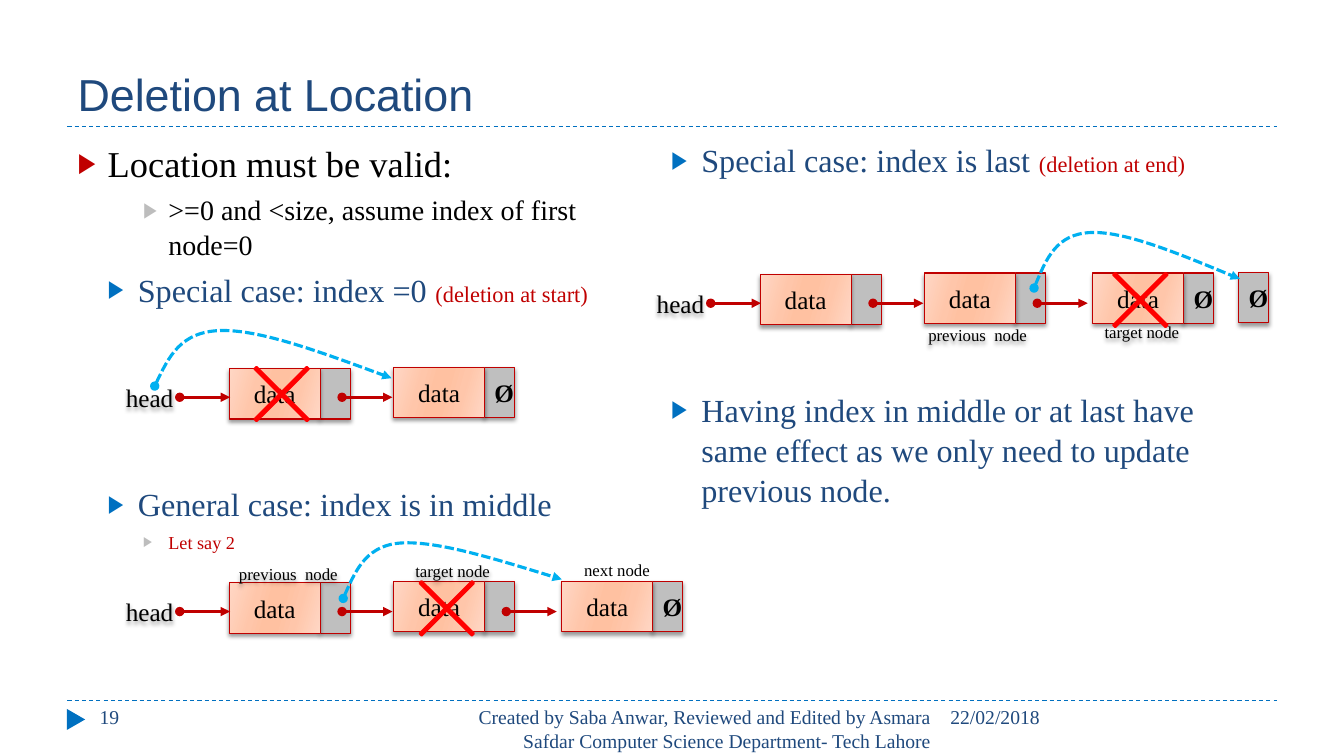
import pptx
import pptx.util
import pptx.dml.color
import pptx.enum.dml
import pptx.enum.shapes
import pptx.enum.text
import pptx.oxml
import pptx.oxml.ns
from dataclasses import dataclass

Cm, Pt = pptx.util.Cm, pptx.util.Pt
SHAPE = pptx.enum.shapes.MSO_SHAPE
DASH = pptx.enum.dml.MSO_LINE
ALIGN = pptx.enum.text.PP_ALIGN
ANCHOR = pptx.enum.text.MSO_ANCHOR
QN = pptx.oxml.ns.qn
NS = pptx.oxml.ns.nsdecls("a")


@dataclass(frozen=True)
class Theme:
    heading_font: str = "Arial"
    body_font: str = "Times New Roman"
    navy: str = "1F497D"
    blue: str = "0070C0"
    sky: str = "00B0F0"
    crimson: str = "C00000"
    red: str = "FF0000"
    grey: str = "BFBFBF"
    pale_grey: str = "BDBDBD"
    black: str = "000000"
    peach: tuple = ((0, "FFD7C5"), (30, "FFC6AA"), (45, "FFC1A1"),
                    (55, "FFC1A1"), (73, "FFC6AA"), (100, "FFD7C5"))
    title: int = 32
    lead: int = 26
    case: int = 23
    detail: int = 20
    cell: int = 18
    aside: int = 16
    footer: int = 14
    remark: int = 13
    label: int = 12


THEME = Theme()

# Bullet styles: text indent, hanging indent (cm), space before (pt), bullet colour
LEAD = (0.76, 0.76, 6, THEME.crimson)
CASE = (1.52, 0.76, 5, THEME.blue)
DETAIL = (2.29, 0.64, 5, THEME.pale_grey)
LEVELS = {LEAD: 0, CASE: 1, DETAIL: 2}

# Linked list measures in cm, from the head label's left and the arrows' height
NODE_LEFTS = (2.9, 7.04, 11.28)
DATA_WIDTH, LINK_WIDTH, NODE_HEIGHT = 2.29, 0.76, 1.27
ARROW_LENGTH = 1.27


def rgb(color):
    return pptx.dml.color.RGBColor.from_string(color)


def add_xml(parent, xml):
    tag, _, rest = xml.partition(" ")
    parent.append(pptx.oxml.parse_xml(f"<a:{tag} {NS} {rest}"))


def style_span(span, size, color, font=THEME.body_font, bold=False):
    span.font.size, span.font.name, span.font.bold = Pt(size), font, bold
    span.font.color.rgb = rgb(color)


def style_line(line, color, width, dash=None, arrow=False):
    line.color.rgb, line.width = rgb(color), Pt(width)
    if dash:
        line.dash_style = dash
    if arrow:
        add_xml(line._ln, 'headEnd type="oval"/>')
        add_xml(line._ln, 'tailEnd type="triangle"/>')


def drop_shadow(shape):
    shape.shadow.inherit = False
    effects = shape._element.spPr.find(QN("a:effectLst"))
    add_xml(effects, 'outerShdw blurRad="38100" dist="25400" dir="5400000" rotWithShape="0">'
            f'<a:srgbClr val="{THEME.black}"><a:alpha val="40000"/></a:srgbClr></a:outerShdw>')


def write(shape, text, size, color, align=ALIGN.CENTER, anchor=ANCHOR.MIDDLE, bold=False):
    frame = shape.text_frame
    frame.word_wrap, frame.vertical_anchor = True, anchor
    frame.text = text
    para = frame.paragraphs[0]
    para.alignment = align
    style_span(para.runs[0], size, color, bold=bold)


def add_text(page, box, text, size, color, **layout):
    shape = page.shapes.add_textbox(*map(Cm, box))
    write(shape, text, size, color, **layout)
    return shape


def add_line(page, start, end, color, width, dash=None, arrow=False):
    line = page.shapes.add_connector(
        pptx.enum.shapes.MSO_CONNECTOR.STRAIGHT, *map(Cm, start + end))
    style_line(line.line, color, width, dash, arrow)
    add_xml(line._element.spPr, "effectLst />")


# Title and footer
def fill_title(title, box, text):
    title.left, title.top, title.width, title.height = map(Cm, box)
    title.text_frame.text = text
    title.text_frame.vertical_anchor = ANCHOR.BOTTOM
    title.text_frame.auto_size = pptx.enum.text.MSO_AUTO_SIZE.NONE
    para = title.text_frame.paragraphs[0]
    para.alignment = ALIGN.LEFT
    style_span(para.runs[0], THEME.title, THEME.navy, THEME.heading_font)


def add_footer(page, box, number, credit, date):
    left, top, width, height = box
    add_line(page, (left, top), (left + width, top), THEME.blue, 0.75, DASH.DASH)
    marker = page.shapes.add_shape(
        SHAPE.ISOSCELES_TRIANGLE, Cm(left - 0.05), Cm(top + 0.25), Cm(0.53), Cm(0.46))
    marker.rotation = 90
    marker.shadow.inherit = False
    marker.fill.solid()
    marker.fill.fore_color.rgb = rgb(THEME.blue)
    marker.line.fill.background()
    for offset, span_width, text, align in ((0.56, 7.34, number, ALIGN.LEFT),
                                            (9.04, 12.98, credit, ALIGN.RIGHT),
                                            (22, 8.48, date, ALIGN.LEFT)):
        add_text(page, (left + offset, top, span_width, height), text,
                 THEME.footer, THEME.navy, align=align, anchor=ANCHOR.TOP)


# Bulleted column: each item is a style, extra space above, and its spans
def fill_column(body, box, items):
    body.left, body.top, body.width, body.height = map(Cm, box)
    frame = body.text_frame
    frame.auto_size = pptx.enum.text.MSO_AUTO_SIZE.NONE
    for index, (style, gap, spans) in enumerate(items):
        para = frame.add_paragraph() if index else frame.paragraphs[0]
        indent, hanging, before, bullet = style
        para.level = LEVELS[style]
        para.line_spacing, para.space_before = 1.04, Pt(before + gap)
        props = para._p.get_or_add_pPr()
        props.set("marL", str(Cm(indent)))
        props.set("indent", str(-Cm(hanging)))
        add_xml(props, f'buClr ><a:srgbClr val="{bullet}"/></a:buClr>')
        add_xml(props, 'buSzPct val="76000"/>')
        add_xml(props, 'buChar char="▶"/>')
        for text, size, color in spans:
            span = para.add_run()
            span.text = text
            style_span(span, size, color)


# Linked list parts
def add_cell(page, left, top, width, text="", data=False):
    cell = page.shapes.add_shape(SHAPE.RECTANGLE, *map(Cm, (left, top, width, NODE_HEIGHT)))
    cell.fill.solid()
    cell.fill.fore_color.rgb = rgb(THEME.grey)
    if data:
        stops = "".join(f'<a:gs pos="{pos * 1000}"><a:srgbClr val="{color}"/></a:gs>'
                        for pos, color in THEME.peach)
        props = cell._element.spPr
        solid = props.find(QN("a:solidFill"))
        solid.addprevious(pptx.oxml.parse_xml(
            f'<a:gradFill {NS} rotWithShape="1"><a:gsLst>{stops}</a:gsLst>'
            '<a:lin ang="960000" scaled="0"/></a:gradFill>'))
        props.remove(solid)
    style_line(cell.line, THEME.crimson, 0.75)
    drop_shadow(cell)
    if text:
        write(cell, text, THEME.cell, THEME.black, bold=not data)


def add_bypass(page, start, end):
    (x, y), (end_x, end_y) = start, end
    peak = y - 1.43
    heights = (y - 0.69, y - 1.37, y - 1.4, peak, (peak + end_y) / 2, end_y)
    shares = (0.055, 0.11, 0.277, 0.443, 0.72, 1)
    points = [(Cm(x + share * (end_x - x)), Cm(height))
              for share, height in zip(shares, heights)]
    builder = page.shapes.build_freeform(Cm(x), Cm(y))
    builder.add_line_segments(points, close=False)
    arc = builder.convert_to_shape()
    # Turn each three straight segments into one cubic curve
    segments = list(arc._element.iter(QN("a:lnTo")))
    for first in (0, 3):
        trio = segments[first:first + 3]
        curve = pptx.oxml.parse_xml(f"<a:cubicBezTo {NS}/>")
        trio[0].addprevious(curve)
        for segment in trio:
            curve.append(segment[0])
            segment.getparent().remove(segment)
    arc.fill.background()
    arc.shadow.inherit = False
    style_line(arc.line, THEME.sky, 2.25, DASH.SQUARE_DOT, arrow=True)


def add_cross(page, left, top):
    cross = page.shapes.add_shape(SHAPE.MATH_MULTIPLY, Cm(left), Cm(top), Cm(2.54), Cm(2.54))
    cross.adjustments[0] = 0.029
    cross.shadow.inherit = False
    cross.fill.solid()
    cross.fill.fore_color.rgb = rgb(THEME.red)
    style_line(cross.line, THEME.red, 1.5)


def add_chain(page, origin, count, target, cross_shift, bypass, labels=(), spare=None):
    left, axis = origin
    head = add_text(page, (left, axis - 0.38, 1.78, 0.76), "head", THEME.cell, THEME.black)
    drop_shadow(head)
    for index, offset in enumerate(NODE_LEFTS[:count]):
        node, top = left + offset, axis - (0.76 if index else 0.72)
        add_cell(page, node + DATA_WIDTH, top, LINK_WIDTH, "Ø" if index == count - 1 else "")
        add_cell(page, node, top, DATA_WIDTH, "data", data=True)
    if spare:
        add_cell(page, left + spare, axis - 0.78, LINK_WIDTH, "Ø")
    for tail in (1.65, *(offset + 2.84 for offset in NODE_LEFTS[:count - 1])):
        add_line(page, (left + tail, axis), (left + tail + ARROW_LENGTH, axis),
                 THEME.crimson, 2.25, arrow=True)
    for text, center, drop in labels:
        label = add_text(page, (left + center - 2.11, axis + drop, 4.22, 0.79),
                         text, THEME.label, THEME.black)
        if text != "next node":
            drop_shadow(label)
    add_bypass(page, *((left + x, axis + y) for x, y in bypass))
    add_cross(page, left + NODE_LEFTS[target] + cross_shift, axis - 1.35)


deck = pptx.Presentation()
deck.slide_width, deck.slide_height = Cm(33.87), Cm(19.05)
page = deck.slides.add_slide(deck.slide_layouts[3])
title, left_body, right_body = page.placeholders

fill_title(title, (1.7, 0.43, 30.48, 2.74), "Deletion at Location")
add_line(page, (1.7, 3.18), (32.18, 3.18), THEME.blue, 0.75, DASH.DASH)
add_footer(page, (1.7, 17.65, 30.48, 1.02), "19",
           "Created by Saba Anwar, Reviewed and Edited by Asmara Safdar "
           "Computer Science Department- Tech Lahore", "22/02/2018")

fill_column(left_body, (1.7, 3.38, 14.4, 13.72), (
    (LEAD, 0, [("Location must be valid:", THEME.lead, THEME.black)]),
    (DETAIL, 0, [(">=0 and <size, assume index of first node=0", THEME.detail, THEME.black)]),
    (CASE, 0, [("Special case: index =0 ", THEME.case, THEME.navy),
               ("(deletion at start)", THEME.aside, THEME.crimson)]),
    (CASE, 119.5, [("General case: index is in middle", THEME.case, THEME.navy)]),
    (DETAIL, 0, [("Let say 2", THEME.remark, THEME.crimson)])))
fill_column(right_body, (15.9, 3.38, 16.26, 13.72), (
    (CASE, 0, [("Special case: index is last ", THEME.case, THEME.navy),
               ("(deletion at end)", THEME.aside, THEME.crimson)]),
    (CASE, 144.5, [("Having index in middle or at last have same effect as we only "
                    "need to update previous node.", THEME.case, THEME.navy)])))

# Deletion at the start, in the middle and at the end
add_chain(page, (2.88, 10.01), 2, 0, 0.05, ((1.02, -0.28), (6.99, -0.48)))
add_chain(page, (2.88, 15.41), 3, 1, 0.07, ((5.77, -0.33), (11.28, -0.81)),
          (("previous  node", 4.39, -1.35), ("target node", 8.53, -1.42),
           ("next node", 12.67, -1.45)))
add_chain(page, (16.26, 7.64), 3, 2, -0.07, ((9.8, -0.38), (14.99, -0.61)),
          (("previous  node", 8.38, 0.41), ("target node", 12.52, 0.33)), spare=14.96)

deck.save("out.pptx")
